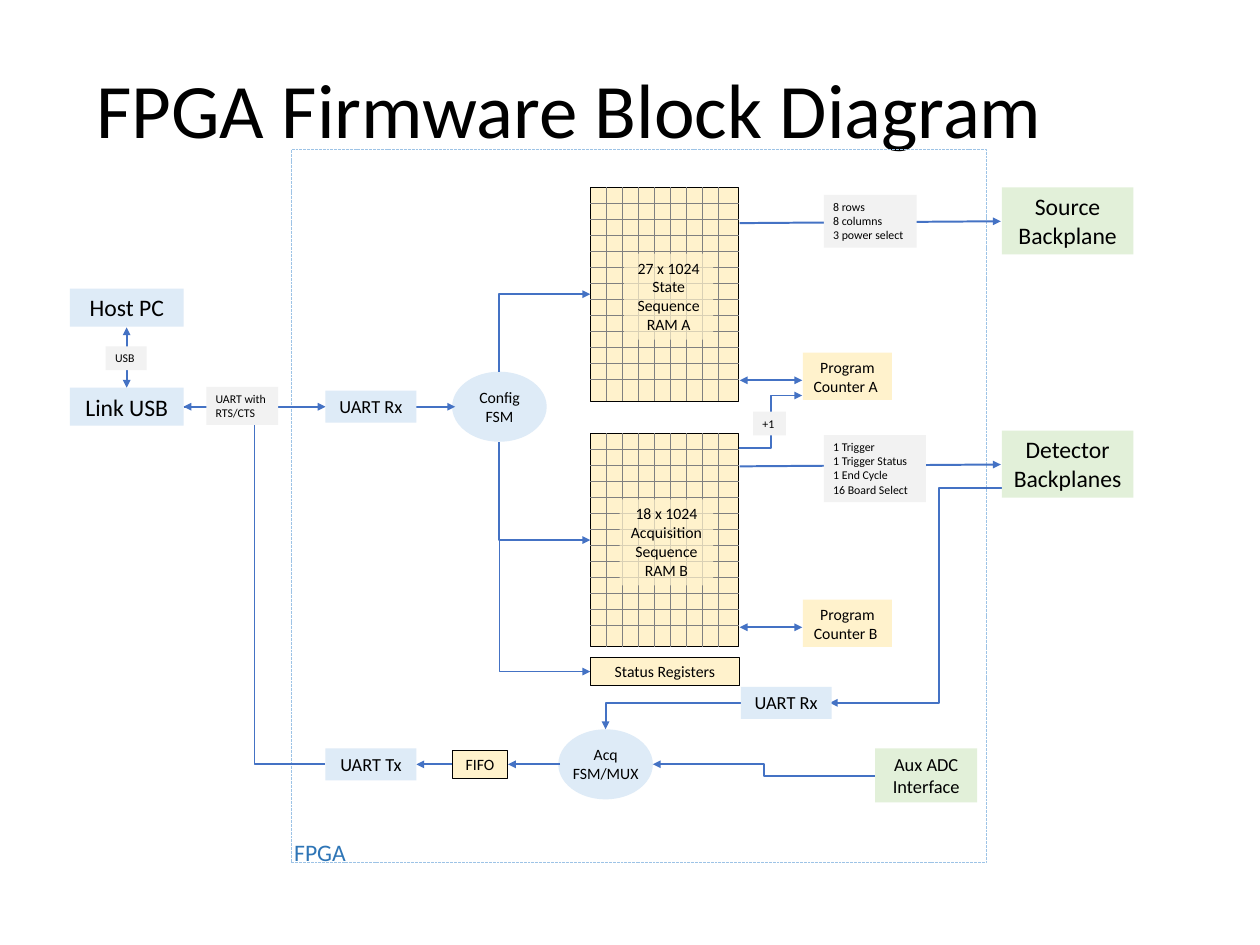
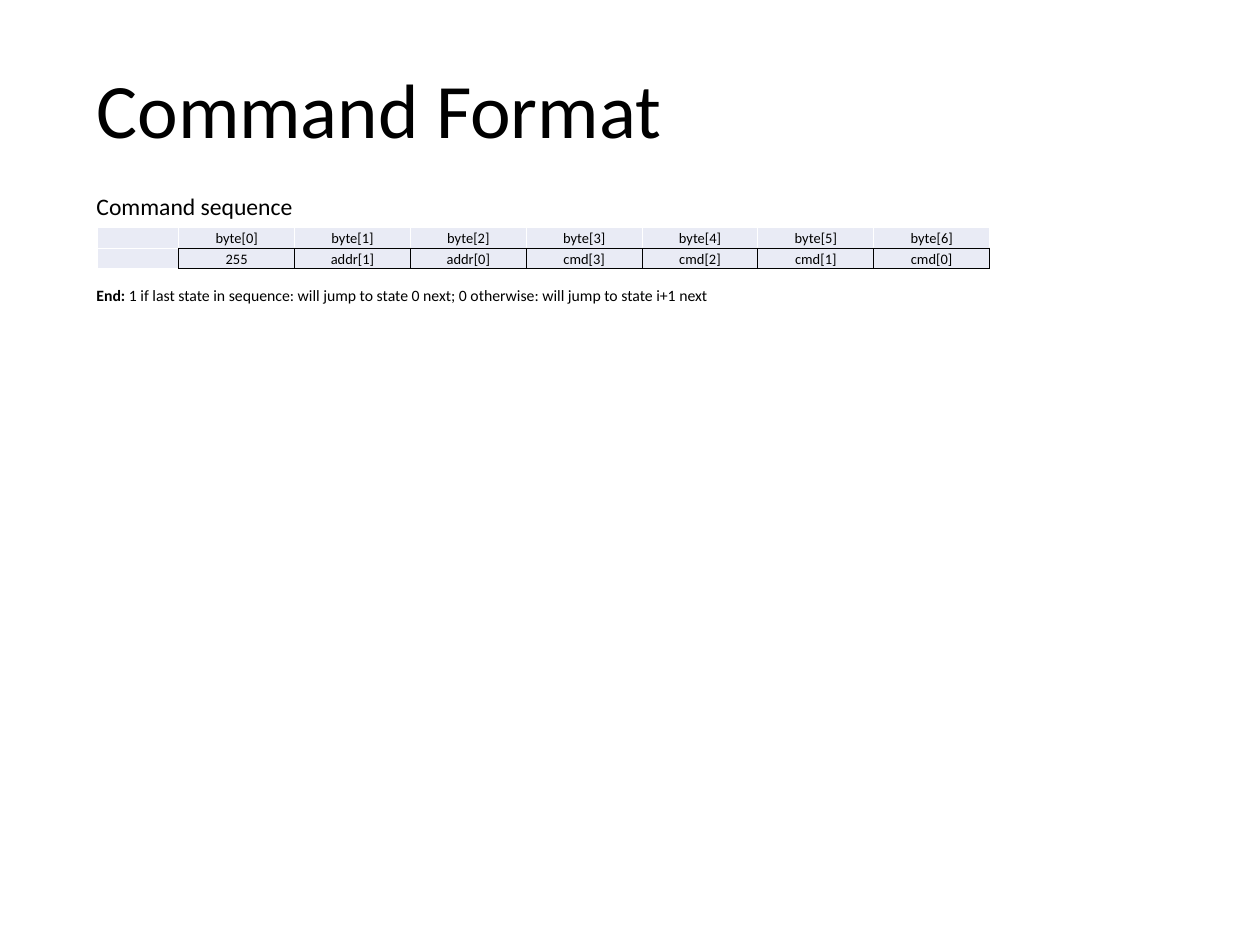
from pptx import Presentation
from pptx.dml.color import RGBColor
from pptx.enum.dml import MSO_LINE
from pptx.enum.shapes import MSO_CONNECTOR, MSO_SHAPE
from pptx.enum.text import MSO_ANCHOR, PP_ALIGN
from pptx.oxml.ns import qn
from pptx.util import Cm, Pt
from lxml import etree

RECT, OVAL = MSO_SHAPE.RECTANGLE, MSO_SHAPE.OVAL
LINE, ELBOW = MSO_CONNECTOR.STRAIGHT, MSO_CONNECTOR.ELBOW
LEFT, CENTER = PP_ALIGN.LEFT, PP_ALIGN.CENTER
MIDDLE, DASH = MSO_ANCHOR.MIDDLE, MSO_LINE.SQUARE_DOT

FONT = "Calibri"
BLACK = RGBColor(0x00, 0x00, 0x00)
WHITE = RGBColor(0xFF, 0xFF, 0xFF)
BLUE = RGBColor(0xDE, 0xEB, 0xF7)
CREAM = RGBColor(0xFF, 0xF2, 0xCC)
GREEN = RGBColor(0xE2, 0xF0, 0xD9)
PALE = RGBColor(0xF2, 0xF2, 0xF2)
GREY = RGBColor(0x80, 0x80, 0x80)
ARROW = RGBColor(0x44, 0x72, 0xC4)
EDGE = RGBColor(0x9D, 0xC3, 0xE6)
NAVY = RGBColor(0x2E, 0x75, 0xB6)
CELL = RGBColor(0xE9, 0xEB, 0xF5)


def box(shapes, x, y, w, h, text="", size=12, fill=None, line=None,
        align=CENTER, color=BLACK, kind=RECT):
    """Add a shape, or a text box if it has neither fill nor line."""
    place = Cm(x), Cm(y), Cm(w), Cm(h)
    if fill is None and line is None:
        shape = shapes.add_textbox(*place)
    else:
        shape = shapes.add_shape(kind, *place)
        shape.shadow.inherit = False
        shape.fill.background()
        shape.line.fill.background()
    if fill is not None:
        shape.fill.solid()
        shape.fill.fore_color.rgb = fill
    if line is not None:
        shape.line.color.rgb = line
        shape.line.width = Pt(0.75)
    frame = shape.text_frame
    frame.word_wrap = True
    frame.vertical_anchor = MSO_ANCHOR.TOP
    frame.text = text
    for para in frame.paragraphs:
        para.alignment = align
        for run in para.runs:
            run.font.name, run.font.size = FONT, Pt(size)
            run.font.color.rgb = color
    return shape


def link(shapes, x1, y1, x2, y2, ends="", kind=LINE, color=ARROW, width=1.5):
    """Add a connector; ends names the arrowheads: head, tail or both."""
    conn = shapes.add_connector(kind, Cm(x1), Cm(y1), Cm(x2), Cm(y2))
    conn.line.color.rgb = color
    conn.line.width = Pt(width)
    for end in ends.split():
        etree.SubElement(conn.line._get_or_add_ln(), qn(f"a:{end}End"), type="triangle")
    etree.SubElement(conn._element.spPr, qn("a:effectLst"))
    return conn


prs = Presentation()
prs.slide_width, prs.slide_height = Cm(33.83), Cm(25.37)

# Slides and titles
pages = []
for name in ("FPGA Firmware Block Diagram", "Command Format"):
    shapes = prs.slides.add_slide(prs.slide_layouts[6]).shapes
    title = box(shapes, 2.34, 1.35, 29.18, 3.4, name, 58.6, align=LEFT)
    title.text_frame.vertical_anchor = MIDDLE
    title.text_frame.paragraphs[0].line_spacing = 0.9
    pages.append(shapes)
chart, page = pages

# FPGA frame
frame = box(chart, 7.82, 4.01, 18.67, 19.15, line=EDGE)
frame.line.dash_style = DASH
box(chart, 7.65, 22.38, 1.9, 1.02, "FPGA", 18, align=LEFT, color=NAVY)

# RAM grids
LEFT_X, RAM_W, RAM_H, STEP = 15.85, 3.99, 5.74, 0.43
for top, x, w, text in (
    (11.63, 16.64, 2.51, "18 x 1024\nAcquisition Sequence RAM B"),
    (5.03, 16.76, 2.39, "27 x 1024\nState Sequence RAM A"),
):
    ram = chart.add_group_shape().shapes
    box(ram, LEFT_X, top, RAM_W, RAM_H, fill=CREAM, line=BLACK)
    for i in range(1, 9):
        col = LEFT_X + i * STEP
        link(ram, col, top, col, top + RAM_H, color=GREY, width=0.5)
    for i in range(1, 13):
        row = top + i * STEP
        link(ram, LEFT_X, row, LEFT_X + RAM_W, row, color=GREY, width=0.5)
    label = box(ram, x, top + 1.78, w, 2.31, text, fill=CREAM)
    tint = label._element.spPr.find(qn("a:solidFill"))[0]
    etree.SubElement(tint, qn("a:alpha"), val="70000")

# State machines
for x, y, text in ((12.14, 9.98, "Config\nFSM"), (14.99, 19.58, "Acq\nFSM/MUX")):
    box(chart, x, y, 2.54, 1.88, fill=BLUE, kind=OVAL)
    box(chart, x + 0.08, y + 0.3, 2.39, 1.27, text)

# Straight arrows
for x1, y1, x2, y2, ends in (
    (26.87, 5.94, 19.86, 5.99, "head"),
    (26.87, 12.47, 19.86, 12.52, "head"),
    (19.86, 10.21, 21.54, 10.21, "head tail"),
    (19.86, 16.84, 21.54, 16.84, "head tail"),
    (3.4, 10.41, 3.4, 8.79, "head tail"),
    (4.93, 10.92, 8.74, 10.92, "tail"),
    (11.18, 10.92, 12.22, 10.92, "tail"),
    (15.04, 20.52, 13.64, 20.52, "tail"),
    (12.14, 20.52, 11.18, 20.52, "tail"),
):
    link(chart, x1, y1, x2, y2, ends)

# Arrows with two bends
for x1, y1, x2, y2 in (
    (19.84, 12.04, 21.54, 10.62),
    (28.17, 13.11, 22.28, 18.87),
    (23.5, 20.83, 17.53, 20.52),
    (8.74, 20.52, 4.93, 10.92),
):
    link(chart, x1, y1, x2, y2, "tail", ELBOW)

# Arrows with one bend, level part first
for x1, y1, x2, y2, ends, width in (
    (19.89, 18.87, 16.26, 19.58, "tail", 1.5),
    (LEFT_X, 7.9, 13.41, 9.98, "head", 1.5),
    (LEFT_X, 14.5, 13.41, 11.86, "head", 1.5),
    (LEFT_X, 18.03, 13.41, 11.86, "head", 0.5),
):
    bend = link(chart, x1, y1, x2, y2, ends, ELBOW, width=width)
    bend._element.spPr.find(qn("a:prstGeom")).set("prst", "bentConnector2")

# Blocks
for x, y, w, h, text, size, fill, line in (
    (8.74, 10.49, 2.44, 0.86, "UART Rx", 14, BLUE, None),
    (8.74, 20.09, 2.44, 0.86, "UART Tx", 14, BLUE, None),
    (19.89, 18.44, 2.44, 0.86, "UART Rx", 14, BLUE, None),
    (1.88, 7.75, 3.05, 1.02, "Host PC", 18, BLUE, None),
    (1.88, 10.41, 3.05, 1.02, "Link USB", 18, BLUE, None),
    (26.9, 5.03, 3.53, 1.8, "Source Backplane", 18, GREEN, None),
    (26.9, 11.56, 3.53, 1.8, "Detector Backplanes", 18, GREEN, None),
    (23.5, 20.09, 2.74, 1.45, "Aux ADC\nInterface", 14, GREEN, None),
    (21.56, 9.47, 2.39, 1.27, "Program\nCounter A ", 12, CREAM, None),
    (21.56, 16.1, 2.39, 1.27, "Program\nCounter B ", 12, CREAM, None),
    (12.14, 20.14, 1.5, 0.76, "FIFO", 12, CREAM, BLACK),
    (LEFT_X, 17.65, 4.01, 0.76, "Status Registers", 12, CREAM, BLACK),
):
    box(chart, x, y, w, h, text, size, fill, line)

# Signal labels
for x, y, w, h, text in (
    (22.12, 5.23, 2.49, 1.42, "8 rows\n8 columns\n3 power select"),
    (22.12, 11.68, 2.74, 1.8,
     "1 Trigger\n1 Trigger Status\n1 End Cycle\n16 Board Select"),
    (20.22, 11.05, 0.88, 0.64, "+1"),
    (2.84, 9.3, 1.1, 0.64, "USB"),
    (5.54, 10.39, 1.93, 1.02, "UART with RTS/CTS"),
):
    box(chart, x, y, w, h, text, 9, PALE, align=LEFT)

# Command text
box(page, 2.34, 5.03, 11.07, 1.02, "Command sequence", 18, align=LEFT)
note = box(page, 2.34, 7.54, 21.84, 0.76, "End: ", align=LEFT)
para = note.text_frame.paragraphs[0]
para.runs[0].font.bold = True
rest = para.add_run()
rest.text = ("1 if last state in sequence: will jump to state 0 next; "
             "0 otherwise: will jump to state i+1 next")
rest.font.name, rest.font.size = FONT, Pt(12)
rest.font.color.rgb = BLACK

# Command table
ROWS = (
    [""] + [f"byte[{i}]" for i in range(7)],
    ["", "255", "addr[1]", "addr[0]"] + [f"cmd[{i}]" for i in (3, 2, 1, 0)],
)
table = page.add_table(2, 8, Cm(2.62), Cm(6.1), Cm(23.95), Cm(1.12)).table
for c, col in enumerate(table.columns):
    col.width = Cm(3.11 if c else 2.18)
for r, words in enumerate(ROWS):
    table.rows[r].height = Cm(0.56)
    for c, word in enumerate(words):
        cell = table.cell(r, c)
        cell.fill.solid()
        cell.fill.fore_color.rgb = CELL
        cell.vertical_anchor = MIDDLE
        cell.margin_left = cell.margin_right = cell.margin_top = Cm(0.03)
        cell.margin_bottom = Cm(0)
        cell.text_frame.text = word
        para = cell.text_frame.paragraphs[0]
        para.alignment = CENTER
        for run in para.runs:
            run.font.name, run.font.size = FONT, Pt(11)
            run.font.bold = False
            run.font.color.rgb = BLACK
        if not word:
            etree.SubElement(para._p, qn("a:endParaRPr"), sz="1100")
        # Black around the command bytes, white elsewhere
        dark = {"lnL": r and c, "lnR": r, "lnT": r and c, "lnB": c}
        props = cell._tc.get_or_add_tcPr()
        for i, (side, on) in enumerate(dark.items()):
            edge = etree.Element(qn(f"a:{side}"), w="12700")
            paint = etree.SubElement(edge, qn("a:solidFill"))
            etree.SubElement(paint, qn("a:srgbClr"), val=str(BLACK if on else WHITE))
            props.insert(i, edge)

prs.save("out.pptx")
